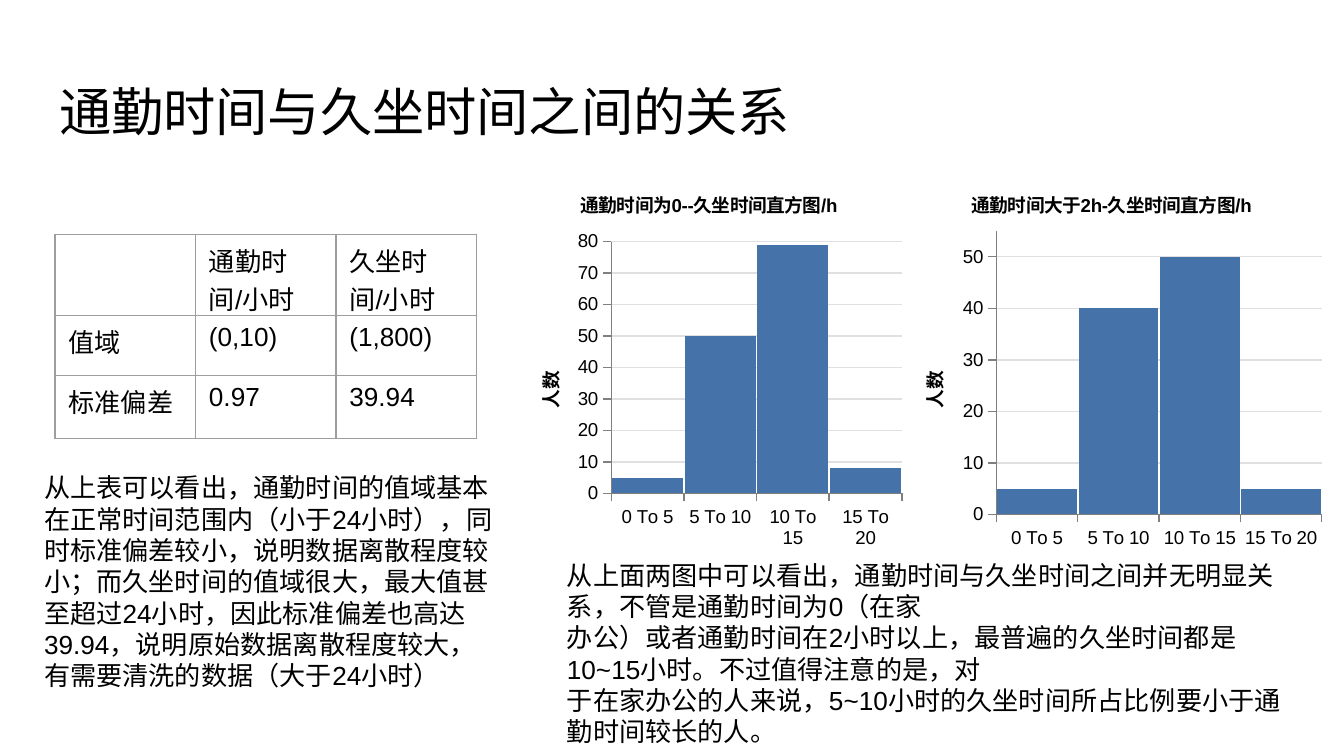
from lxml import etree
from pptx import Presentation
from pptx import util as u
from pptx.chart.data import CategoryChartData
from pptx.dml.color import RGBColor
from pptx.enum import chart as ch, text
from pptx.oxml.ns import qn

SCALE = 4572
FONT = "Arial"
BLACK, BAR, AXIS, GRID, BORDER = "000000", "4572A8", "808080", "E0E0E0", "9E9E9E"
BINS = ["0 To 5", "5 To 10", "10 To 15", "15 To 20"]
CHARTS = [
    ("通勤时间为0--久坐时间直方图/h", (756, 254, 598, 574), [5, 50, 79, 8], 80),
    ("通勤时间大于2h-久坐时间直方图/h", (1328, 254, 652, 574), [5, 40, 50, 5], 55),
]
STATS = [
    ["", "通勤时间/小时", "久坐时间/小时"],
    ["值域", "(0,10)", "(1,800)"],
    ["标准偏差", "0.97", "39.94"],
]
TABLE_NOTE = [
    "从上表可以看出，通勤时间的值域基本",
    "在正常时间范围内（小于24小时），同",
    "时标准偏差较小，说明数据离散程度较小；而久坐时间的值域很大，最大值甚至超过24小时，"
    "因此标准偏差也高达39.94，说明原始数据离散程度较大，有需要清洗的数据（大于24小时）",
]
CHART_NOTE = [
    "从上面两图中可以看出，通勤时间与久坐时间之间并无明显关系，不管是通勤时间为0（在家",
    "办公）或者通勤时间在2小时以上，最普遍的久坐时间都是10~15小时。不过值得注意的是，对",
    "于在家办公的人来说，5~10小时的久坐时间所占比例要小于通勤时间较长的人。",
]


def px(n):
    return u.Emu(n * SCALE)


def box(*values):
    return [px(v) for v in values]


def rgb(code):
    return RGBColor.from_string(code)


def apply(obj, **values):
    for name, value in values.items():
        setattr(obj, name, value)


def style_font(font, size, bold=False):
    apply(font, name=FONT, size=u.Pt(size), bold=bold)
    font.color.rgb = rgb(BLACK)


def style_line(line, color):
    line.color.rgb = rgb(color)
    line.width = u.Pt(0.75)


def write(tf, lines, size):
    for i, line in enumerate(lines):
        p = tf.paragraphs[0] if i == 0 else tf.add_paragraph()
        p.alignment = text.PP_ALIGN.LEFT
        p._p.get_or_add_pPr().set("hangingPunct", "0")
        r = p.add_run()
        r.text = line
        style_font(r.font, size)


def add_title(s, title):
    sp = s.shapes.title
    apply(sp, **dict(zip(("left", "top", "width", "height"), box(68, 98, 1864, 126))))
    tf = sp.text_frame
    apply(tf, word_wrap=True, vertical_anchor=text.MSO_ANCHOR.TOP,
          auto_size=text.MSO_AUTO_SIZE.NONE, margin_left=px(20),
          margin_right=px(20), margin_top=px(20), margin_bottom=px(20))
    write(tf, [title], 28)


def add_note(s, place, lines):
    tf = s.shapes.add_textbox(*box(*place)).text_frame
    apply(tf, word_wrap=True, auto_size=text.MSO_AUTO_SIZE.SHAPE_TO_FIT_TEXT)
    write(tf, lines, 14)


def add_borders(cell):
    tc_pr = cell._tc.get_or_add_tcPr()
    for i, side in enumerate(("lnL", "lnR", "lnT", "lnB")):
        ln = etree.Element(qn("a:" + side), w=str(u.Pt(0.75)))
        fill = etree.SubElement(ln, qn("a:solidFill"))
        etree.SubElement(fill, qn("a:srgbClr"), val=BORDER)
        tc_pr.insert(i, ln)


def add_stats_table(s):
    table = s.shapes.add_table(3, 3, *box(82, 349, 627, 304)).table
    apply(table, first_row=False, horz_banding=False)
    for col in table.columns:
        col.width = px(209)
    for row, height, values in zip(table.rows, (121, 89, 94), STATS):
        row.height = px(height)
        for cell, value in zip(row.cells, values):
            cell.fill.background()
            add_borders(cell)
            if value:
                write(cell.text_frame, [value], 14)
            else:
                style_font(cell.text_frame.paragraphs[0].font, 14)


def set_title(owner, title):
    owner.has_title = True
    tf = (owner.chart_title if hasattr(owner, "chart_title") else owner.axis_title).text_frame
    tf.text = title
    style_font(tf.paragraphs[0].runs[0].font, 10, True)


def add_histogram(s, title, place, counts, top):
    data = CategoryChartData()
    data.categories = BINS
    data.add_series("Series 1", counts)
    chart = s.shapes.add_chart(ch.XL_CHART_TYPE.COLUMN_CLUSTERED, *box(*place), data).chart
    chart.has_legend = False
    style_font(chart.font, 10)
    set_title(chart, title)
    chart.chart_title.include_in_layout = False
    plot = chart.plots[0]
    apply(plot, gap_width=2, vary_by_categories=False)
    fill = plot.series[0].format.fill
    fill.solid()
    fill.fore_color.rgb = rgb(BAR)
    for axis in (chart.category_axis, chart.value_axis):
        apply(axis, major_tick_mark=ch.XL_TICK_MARK.OUTSIDE,
              minor_tick_mark=ch.XL_TICK_MARK.NONE)
        style_line(axis.format.line, AXIS)
    axis = chart.value_axis
    apply(axis, minimum_scale=0, maximum_scale=top, major_unit=10, has_major_gridlines=True)
    style_line(axis.major_gridlines.format.line, GRID)
    set_title(axis, "人数")


def main():
    prs = Presentation()
    apply(prs, slide_width=px(2000), slide_height=px(1125))
    s = prs.slides.add_slide(prs.slide_layouts[5])
    add_title(s, "通勤时间与久坐时间之间的关系")
    for histogram in CHARTS:
        add_histogram(s, *histogram)
    add_note(s, (824, 822, 1134, 302), CHART_NOTE)
    add_stats_table(s)
    add_note(s, (46, 692, 712, 350), TABLE_NOTE)
    prs.save("out.pptx")


if __name__ == "__main__":
    main()
